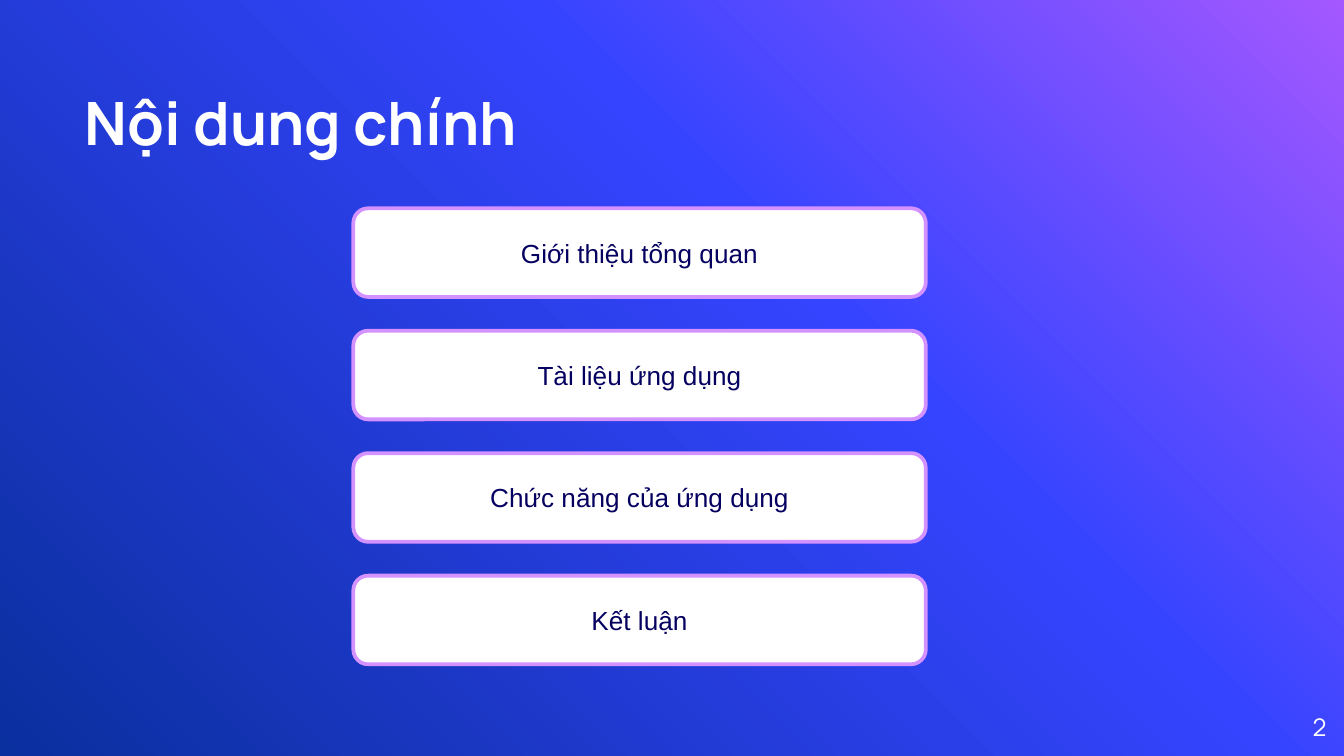
"""Build the agenda slide with a gradient background and four topic boxes."""
from copy import deepcopy

from pptx import Presentation
from pptx.dml.color import RGBColor
from pptx.enum.shapes import MSO_SHAPE
from pptx.enum.text import MSO_ANCHOR, PP_ALIGN
from pptx.oxml.ns import qn
from pptx.util import Pt

ROUNDED = MSO_SHAPE.ROUNDED_RECTANGLE
LEFT, CENTER, RIGHT = PP_ALIGN.LEFT, PP_ALIGN.CENTER, PP_ALIGN.RIGHT
MIDDLE, BOTTOM = MSO_ANCHOR.MIDDLE, MSO_ANCHOR.BOTTOM

WHITE, NAVY, LILAC = "FFFFFF", "050060", "D392FF"
GRADIENT = [(0, "A458FF"), (0.39, "3544FF"), (1, "0A2F9E")]
TOPICS = [
    "Giới thiệu tổng quan",
    "Tài liệu ứng dụng",
    "Chức năng của ứng dụng",
    "Kết luận",
]
TOPIC_TOP, TOPIC_PITCH = 111.6, 65.6


def color(value):
    return RGBColor.from_string(value)


def write(shape, text, *, size, font, ink, align=LEFT, anchor=MIDDLE, bold=False, inset=0):
    frame = shape.text_frame
    frame.word_wrap = True
    frame.vertical_anchor = anchor
    frame.margin_left = frame.margin_right = Pt(inset)
    frame.margin_top = frame.margin_bottom = Pt(inset / 2)
    para = frame.paragraphs[0]
    para.alignment = align
    span = para.add_run()
    span.text = text
    span.font.name = font
    span.font.size = Pt(size)
    span.font.bold = bold
    span.font.color.rgb = color(ink)


deck = Presentation()
deck.slide_width, deck.slide_height = Pt(720), Pt(405)
page = deck.slides.add_slide(deck.slide_layouts[6])

backdrop = page.background.fill
backdrop.gradient()
backdrop.gradient_angle = 225
stop_list = page.element.find(".//" + qn("a:gsLst"))
stop_list.append(deepcopy(stop_list[0]))
for stop, (position, shade) in zip(backdrop.gradient_stops, GRADIENT):
    stop.position = position
    stop.color.rgb = color(shade)

title = page.shapes.add_textbox(Pt(45.4), Pt(16.6), Pt(473.8), Pt(67.7))
write(title, "Nội dung chính", size=32, font="Manrope", ink=WHITE, anchor=BOTTOM, bold=True)

page_number = page.shapes.add_textbox(Pt(667.4), Pt(373.7), Pt(43.2), Pt(31))
write(page_number, "2", size=13, font="Manrope", ink=WHITE, align=RIGHT)

for index, topic in enumerate(TOPICS):
    top = TOPIC_TOP + index * TOPIC_PITCH
    box = page.shapes.add_shape(ROUNDED, Pt(189.3), Pt(top), Pt(306.7), Pt(47.5))
    box.shadow.inherit = False
    box.fill.solid()
    box.fill.fore_color.rgb = color(WHITE)
    box.line.color.rgb = color(LILAC)
    box.line.width = Pt(2)
    write(box, topic, size=14, font="Arial", ink=NAVY, align=CENTER, inset=7.2)

deck.save("out.pptx")
